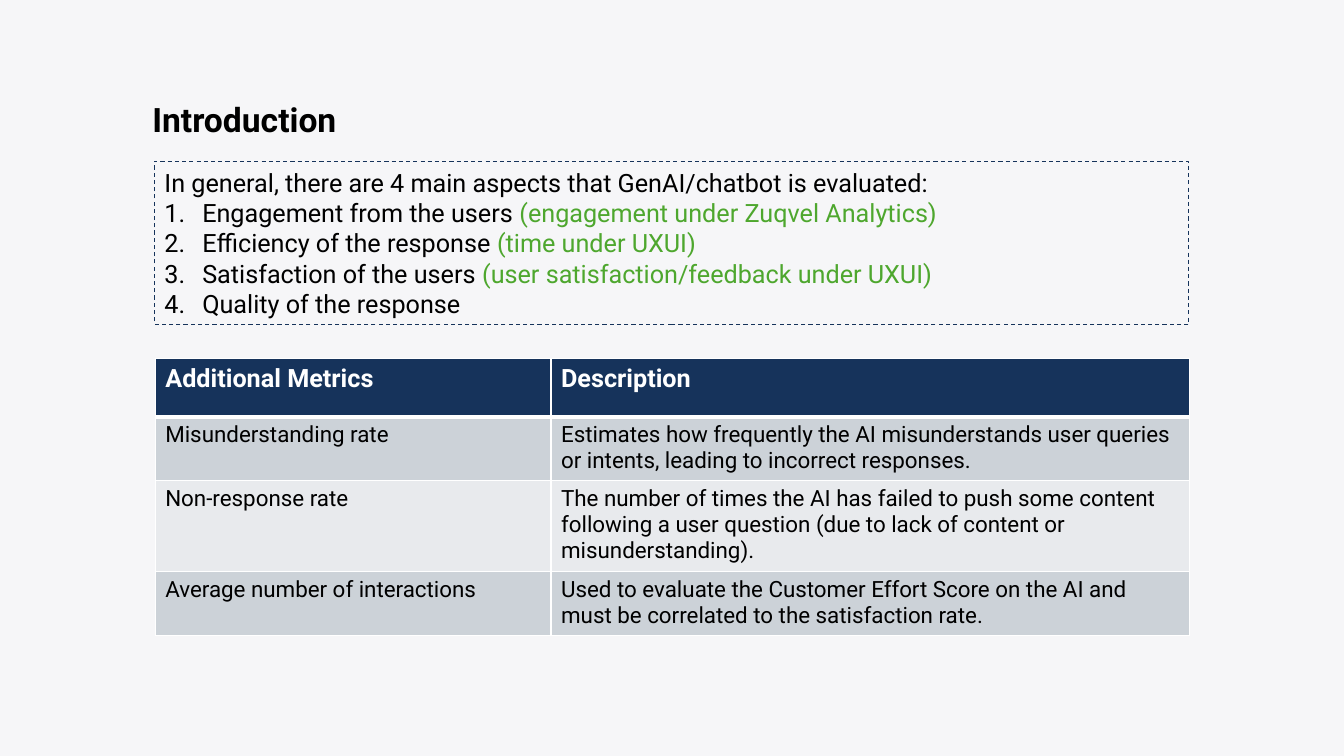
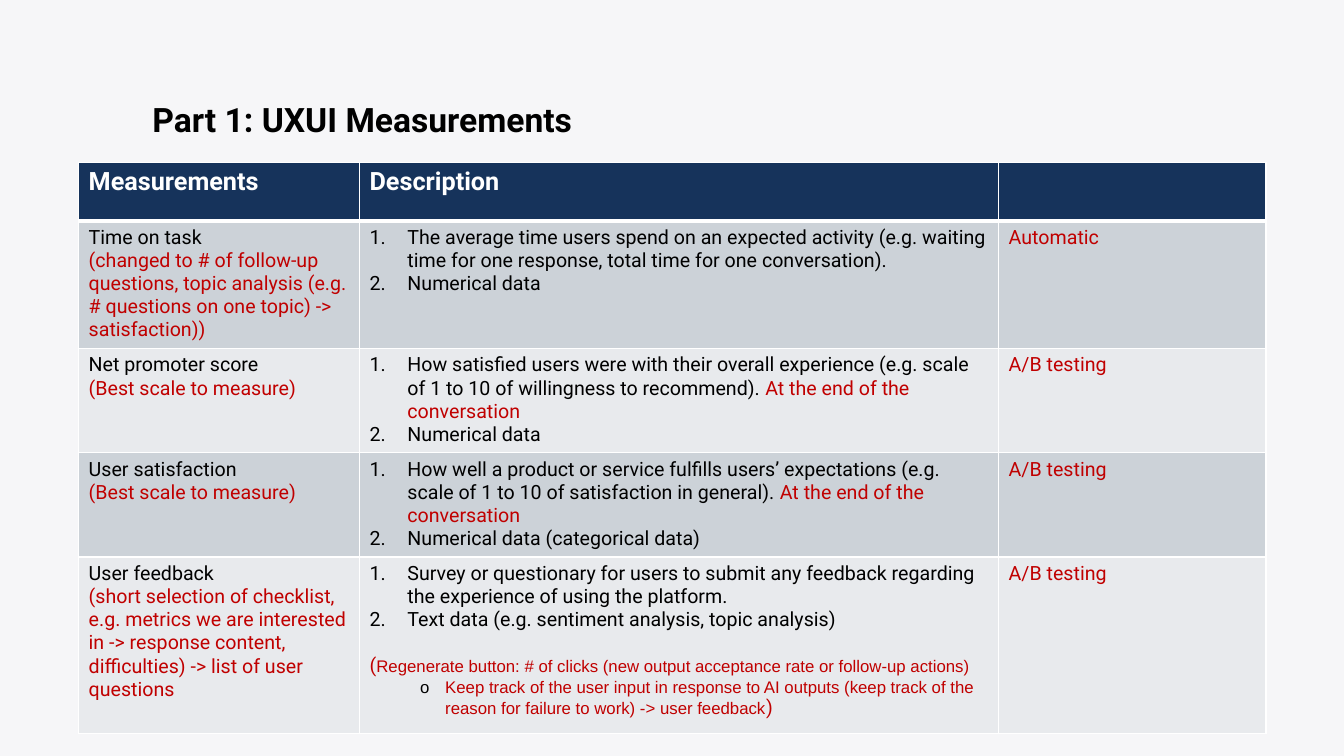
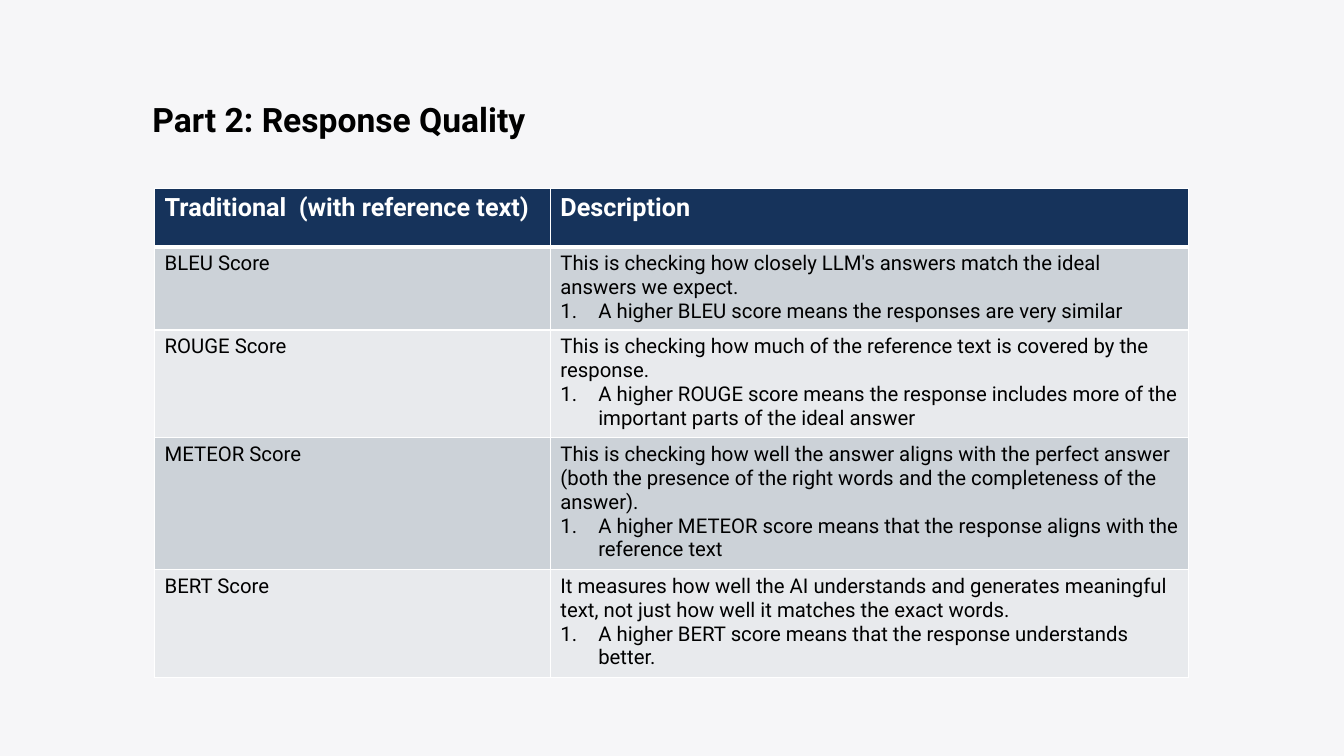
from lxml import etree
from pptx import Presentation
from pptx.dml.color import RGBColor
from pptx.enum.dml import MSO_LINE
from pptx.enum.shapes import MSO_SHAPE
from pptx.enum.text import MSO_ANCHOR, PP_ALIGN
from pptx.oxml import parse_xml
from pptx.oxml.ns import nsdecls, qn
from pptx.util import Inches, Pt

DASH = MSO_LINE.DASH
RECTANGLE = MSO_SHAPE.RECTANGLE
TOP, MIDDLE = MSO_ANCHOR.TOP, MSO_ANCHOR.MIDDLE
LEFT = PP_ALIGN.LEFT

COLORS = {
    "page": "F6F6F8",
    "navy": "16335B",
    "odd_row": "CCD2D8",
    "even_row": "E8EAED",
    "white": "FFFFFF",
    "black": "000000",
    "green": "4EA72E",
    "red": "C00000",
}

# Run styles: font, colour, bold, own size (None takes the size of the block)
STYLES = {
    "title": ("Roboto", "black", True, 24),
    "head": ("Roboto", "white", True, 18),
    "body": ("Roboto", "black", False, None),
    "source": ("Roboto", "green", False, None),
    "note": ("Roboto", "red", False, None),
    "aside": ("Arial", "red", False, 12),
}

# List kinds: left margin and first-line indent in points
INDENTS = {"number": (27, -27), "circle": (54, -18)}

prs = Presentation()
prs.slide_width, prs.slide_height = Inches(13.33), Inches(7.5)
COL, ROW = prs.slide_width / 100, prs.slide_height / 100
BLANK = prs.slide_layouts[6]

# Shared content band, in hundredths of the slide's size
BAND_LEFT, BAND_WIDTH = 11.5, 76.95
BAND_COLUMNS = (29.45, 47.5)
ROW_HEIGHT = 7.7


def write(frame, paragraphs, size):
    """Fill a frame with (list kind, (text, style), ...) paragraphs."""
    frame.word_wrap = True
    for index, (kind, *runs) in enumerate(paragraphs):
        paragraph = frame.paragraphs[0] if index == 0 else frame.add_paragraph()
        paragraph.alignment = LEFT
        if kind == "gap":
            paragraph.space_before = Pt(16.5)
        if kind in INDENTS:
            properties = paragraph._p.get_or_add_pPr()
            margin, indent = INDENTS[kind]
            properties.set("marL", str(Pt(margin)))
            properties.set("indent", str(Pt(indent)))
            if kind == "number":
                etree.SubElement(properties, qn("a:buAutoNum"), type="arabicPeriod")
            else:
                properties.set("lvl", "1")
                tint = etree.SubElement(properties, qn("a:buClr"))
                etree.SubElement(tint, qn("a:srgbClr"), val=COLORS["black"])
                etree.SubElement(properties, qn("a:buFont"), typeface="Arial")
                etree.SubElement(properties, qn("a:buChar"), char="o")
        for text, style in runs:
            run = paragraph.add_run()
            run.text = text
            font_name, color, bold, own_size = STYLES[style]
            run.font.name = font_name
            run.font.size = Pt(own_size or size)
            run.font.bold = bold
            run.font.color.rgb = RGBColor.from_string(COLORS[color])


def plain(text, style="body"):
    return ("plain", (text, style))


item = "number"
at_end = ("At the end of the conversation", "note")

aspects = [
    plain("In general, there are 4 main aspects that GenAI/chatbot is evaluated:"),
    (item, ("Engagement from the users ", "body"),
     ("(engagement under Zuqvel Analytics)", "source")),
    (item, ("Efficiency of the response ", "body"), ("(time under UXUI)", "source")),
    (item, ("Satisfaction of the users ", "body"),
     ("(user satisfaction/feedback under UXUI)", "source")),
    (item, ("Quality of the response", "body")),
]

additional_metrics = [
    [[plain("Misunderstanding rate")],
     [plain("Estimates how frequently the AI misunderstands user queries or intents, "
            "leading to incorrect responses.")]],
    [[plain("Non-response rate")],
     [plain("The number of times the AI has failed to push some content following a "
            "user question (due to lack of content or misunderstanding).")]],
    [[plain("Average number of interactions")],
     [plain("Used to evaluate the Customer Effort Score on the AI and must be "
            "correlated to the satisfaction rate.")]],
]

measurements = [
    [[plain("Time on task"),
      plain("(changed to # of follow-up questions, topic analysis (e.g. # questions "
            "on one topic) -> satisfaction))", "note")],
     [(item, ("The average time users spend on an expected activity (e.g. "
              "waiting time for one response, total time for one conversation).", "body")),
      (item, ("Numerical data", "body"))],
     [plain("Automatic", "note")]],
    [[plain("Net promoter score"), plain("(Best scale to measure)", "note")],
     [(item, ("How satisfied users were with their overall experience (e.g. scale of "
              "1 to 10 of willingness to recommend). ", "body"), at_end),
      (item, ("Numerical data", "body"))],
     [plain("A/B testing", "note")]],
    [[plain("User satisfaction"), plain("(Best scale to measure)", "note")],
     [(item, ("How well a product or service fulfills users’ expectations (e.g. scale "
              "of 1 to 10 of satisfaction in general). ", "body"), at_end),
      (item, ("Numerical data (categorical data)", "body"))],
     [plain("A/B testing", "note")]],
    [[plain("User feedback"),
      plain("(short selection of checklist, e.g. metrics we are interested in -> "
            "response content, difficulties) -> list of user questions", "note")],
     [(item, ("Survey or questionary for users to submit any feedback regarding the "
              "experience of using the platform.", "body")),
      (item, ("Text data (e.g. sentiment analysis, topic analysis)", "body")),
      ("gap", ("(", "note"),
       ("Regenerate button: # of clicks (new output acceptance rate or follow-up "
        "actions)", "aside")),
      ("circle",
       ("Keep track of the user input in response to AI outputs (keep track of the "
        "reason for failure to work) -> user feedback", "aside"), (")", "note"))],
     [plain("A/B testing", "note")]],
]

scores = [
    ("BLEU",
     "This is checking how closely LLM's answers match the ideal answers we expect.",
     "means the responses are very similar"),
    ("ROUGE",
     "This is checking how much of the reference text is covered by the response.",
     "means the response includes more of the important parts of the ideal answer"),
    ("METEOR",
     "This is checking how well the answer aligns with the perfect answer (both the "
     "presence of the right words and the completeness of the answer).",
     "means that the response aligns with the reference text"),
    ("BERT",
     "It measures how well the AI understands and generates meaningful text, not just "
     "how well it matches the exact words.",
     "means that the response understands better."),
]
quality_scores = [
    [[plain(f"{score} Score")],
     [plain(meaning), (item, (f"A higher {score} score {reading}", "body"))]]
    for score, meaning, reading in scores
]

# Title, table left, top and height, column widths, last row height, text size,
# header, body
pages = [
    ("Introduction", BAND_LEFT + 0.05, 47.45, 36.5, BAND_COLUMNS, ROW_HEIGHT, 16,
     ("Additional Metrics", "Description"), additional_metrics),
    ("Part 1: UXUI Measurements", 5.85, 21.5, 69.2, (20.9, 47.55, 19.9), 23.3, 14,
     ("Measurements", "Description", ""), measurements),
    ("Part 2: Response Quality", BAND_LEFT, 24.95, 62.1, BAND_COLUMNS, 11.75, 14.5,
     ("Traditional  (with reference text)", "Description"), quality_scores),
]

for title, left, top, height, widths, last_row, text_size, header, body in pages:
    slide = prs.slides.add_slide(BLANK)
    slide.background.fill.solid()
    slide.background.fill.fore_color.rgb = RGBColor.from_string(COLORS["page"])

    heading = slide.shapes.add_textbox(
        int(10.6 * COL), int(13 * ROW), int(42.6 * COL), int(8.4 * ROW)).text_frame
    heading.vertical_anchor = TOP
    write(heading, [plain(title, "title")], 24)
    heading.paragraphs[0].line_spacing = 0.9

    table_frame = slide.shapes.add_table(
        len(body) + 1, len(widths), int(left * COL), int(top * ROW),
        int(sum(widths) * COL), int(height * ROW))
    grid = table_frame.table
    grid.first_row = grid.horz_banding = False
    for column, width in zip(grid.columns, widths):
        column.width = int(width * COL)

    header_cells = [[plain(label, "head")] if label else [] for label in header]
    for row_index, contents in enumerate([header_cells, *body]):
        row_height = last_row if row_index == len(body) else ROW_HEIGHT
        grid.rows[row_index].height = int(row_height * ROW)
        if row_index == 0:
            row_color = "navy"
        else:
            row_color = "odd_row" if row_index % 2 else "even_row"
        for column_index, paragraphs in enumerate(contents):
            cell = grid.cell(row_index, column_index)
            cell.fill.solid()
            cell.fill.fore_color.rgb = RGBColor.from_string(COLORS[row_color])
            write(cell.text_frame, paragraphs, text_size)
            borders = {"lnL": 1, "lnR": 1,
                       "lnT": 3 if row_index == 1 else 1,
                       "lnB": 3 if row_index == 0 else 1}
            for position, (side, points) in enumerate(borders.items()):
                cell._tc.get_or_add_tcPr().insert(position, parse_xml(
                    f'<a:{side} {nsdecls("a")} w="{Pt(points)}"><a:solidFill>'
                    f'<a:srgbClr val="{COLORS["white"]}"/></a:solidFill></a:{side}>'))
    # Setting row heights resizes the frame, so its height comes last
    table_frame.height = int(height * ROW)

aspects_box = prs.slides[0].shapes.add_shape(
    RECTANGLE, int(BAND_LEFT * COL), int(21.3 * ROW),
    int(BAND_WIDTH * COL), int(21.6 * ROW))
aspects_box.shadow.inherit = False
aspects_box.fill.background()
aspects_box.line.color.rgb = RGBColor.from_string(COLORS["navy"])
aspects_box.line.width = Pt(0.75)
aspects_box.line.dash_style = DASH
aspects_box.text_frame.vertical_anchor = MIDDLE
write(aspects_box.text_frame, aspects, 18)

prs.save("out.pptx")
